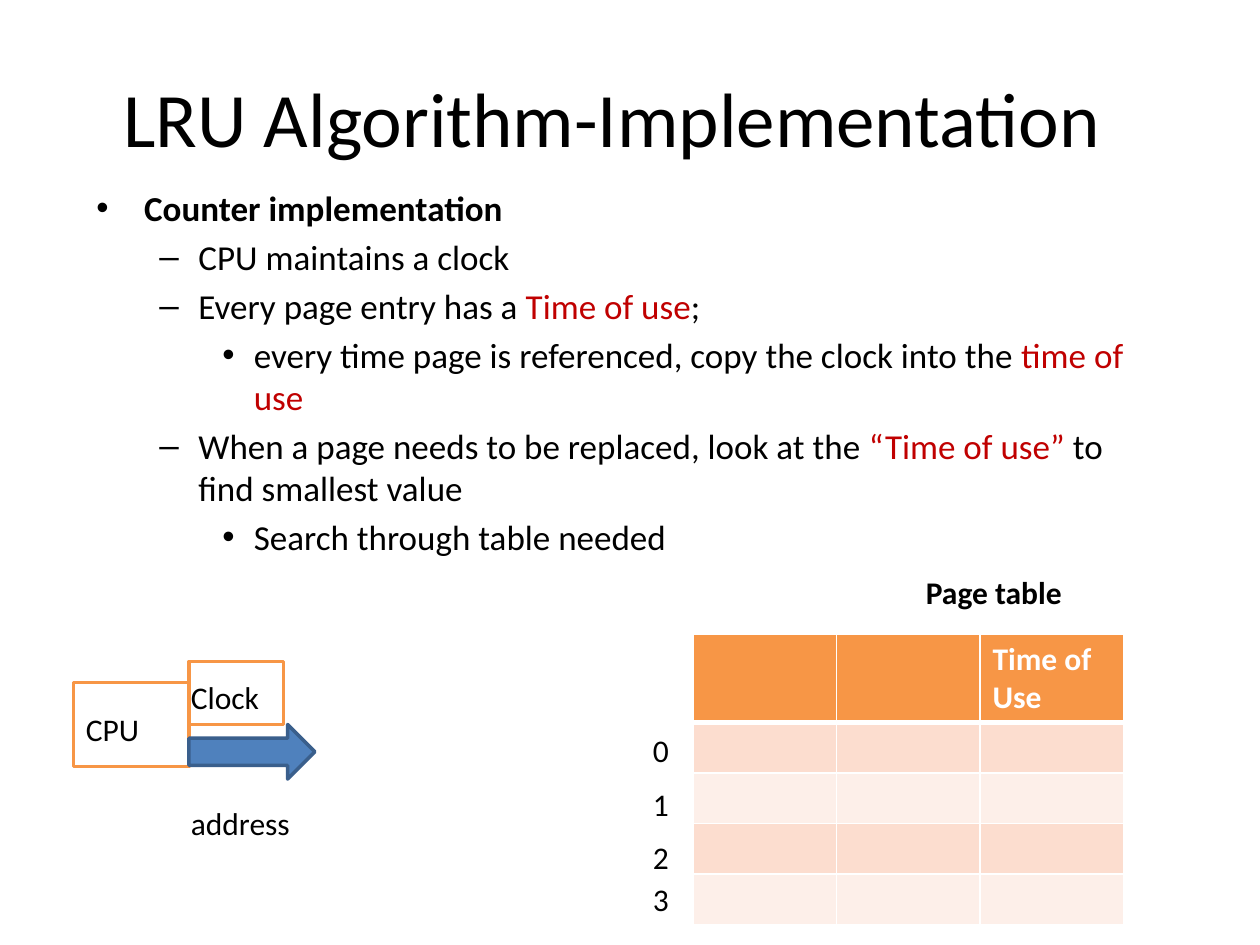
import pptx
import pptx.util
import pptx.dml.color
import pptx.enum.shapes
import pptx.enum.text
import pptx.oxml.ns
import lxml.etree

Pt = pptx.util.Pt
Inches = pptx.util.Inches
Form = pptx.enum.shapes.MSO_SHAPE
Align = pptx.enum.text.PP_ALIGN
Anchor = pptx.enum.text.MSO_ANCHOR

HUES = {
    "black": "000000", "white": "FFFFFF", "red": "C00000",
    "orange": "F79646", "blue": "4F81BD", "navy": "3A5F8C",
    "peach": "FCDDCF", "cream": "FDEFE9",
}
LEVELS = [("•", 0.38, 0.38), ("–", 0.81, 0.31), ("•", 1.25, 0.25)]
POINTS = [
    (0, [("Counter implementation", "black")]),
    (1, [("CPU maintains a clock", "black")]),
    (1, [("Every page entry has a ", "black"), ("Time of use", "red"), (";", "black")]),
    (2, [("every time page is referenced, copy the clock into the ", "black"),
         ("time of use", "red")]),
    (1, [("When a page needs to be replaced, look at the ", "black"),
         ("“Time of use”", "red"), (" to find smallest value", "black")]),
    (2, [("Search through table needed", "black")]),
]


def hue(name):
    return pptx.dml.color.RGBColor.from_string(HUES[name])


def add_tag(parent, tag, **attrs):
    return lxml.etree.SubElement(parent, pptx.oxml.ns.qn(tag), attrs)


class Board:
    face = "Calibri"
    cols, rows = 120, 90

    def __init__(self, deck):
        self.deck = deck
        self.slide = deck.slides.add_slide(deck.slide_layouts[6])

    def place(self, left, top, width, height):
        across = self.deck.slide_width / self.cols
        down = self.deck.slide_height / self.rows
        return [round(n) for n in (left * across, top * down, width * across, height * down)]

    def style(self, para, size=18, bold=False, color="black"):
        font = para.font
        font.name, font.size, font.bold = self.face, Pt(size), bold
        font.color.rgb = hue(color)

    def frame(self, *spot):
        frame = self.slide.shapes.add_textbox(*self.place(*spot)).text_frame
        frame.word_wrap = True
        return frame

    def label(self, text, *spot, size=18, bold=False):
        frame = self.frame(*spot)
        para = frame.paragraphs[0]
        para.text = text
        self.style(para, size, bold)
        return frame

    def title(self, text, *spot):
        frame = self.label(text, *spot, size=44)
        frame.vertical_anchor = Anchor.MIDDLE
        frame.margin_right = Inches(0.38)
        frame.paragraphs[0].alignment = Align.CENTER

    def bullets(self, points, *spot):
        frame = self.frame(*spot)
        for i, (level, runs) in enumerate(points):
            para = frame.add_paragraph() if i else frame.paragraphs[0]
            mark, left, hang = LEVELS[level]
            para.level = level
            para.space_before = Pt(4)
            props = para._p.get_or_add_pPr()
            props.set("marL", str(Inches(left)))
            props.set("indent", str(-Inches(hang)))
            add_tag(props, "a:buFont", typeface="Arial")
            add_tag(props, "a:buChar", char=mark)
            self.style(para, 20, level == 0)
            for text, color in runs:
                run = para.add_run()
                run.text = text
                run.font.color.rgb = hue(color)

    def shape(self, form, fill, line, *spot):
        shape = self.slide.shapes.add_shape(form, *self.place(*spot))
        shape.shadow.inherit = False
        shape.fill.solid()
        shape.fill.fore_color.rgb = hue(fill)
        shape.line.color.rgb = hue(line)
        shape.line.width = Pt(2)

    def border(self, cell, side, width):
        line = add_tag(cell._tc.get_or_add_tcPr(), "a:" + side, w=str(Pt(width)))
        add_tag(add_tag(line, "a:solidFill"), "a:srgbClr", val=HUES["white"])

    def table(self, heads, fills, heights, *spot):
        grid = self.slide.shapes.add_table(len(fills), len(heads), *self.place(*spot)).table
        for r, (fill, height) in enumerate(zip(fills, heights)):
            grid.rows[r].height = Inches(height)
            for c, head in enumerate(heads):
                cell = grid.cell(r, c)
                for side in ("lnL", "lnR", "lnT", "lnB"):
                    thick = (r, side) in ((0, "lnB"), (1, "lnT"))
                    self.border(cell, side, 3 if thick else 1)
                cell.fill.solid()
                cell.fill.fore_color.rgb = hue(fill)
                para = cell.text_frame.paragraphs[0]
                if r == 0 and head:
                    para.text = head
                self.style(para, 18, r == 0, "white" if r == 0 else "black")


def main():
    deck = pptx.Presentation()
    deck.slide_width, deck.slide_height = Inches(10), Inches(7.5)
    board = Board(deck)
    board.title("LRU Algorithm-Implementation", 6, 3.6, 108, 15)
    board.bullets(POINTS, 8, 17.2, 103, 70.8)
    board.shape(Form.RECTANGLE, "white", "orange", 7, 65, 11, 8)
    board.label("CPU", 7, 67, 11, 4.8)
    board.shape(Form.RECTANGLE, "white", "orange", 18, 63, 9, 6)
    board.label("Clock", 17, 64, 19, 4.8)
    board.shape(Form.RIGHT_ARROW, "blue", "navy", 18, 69, 12, 5.2)
    board.label("address", 17, 76, 19, 4.8)
    board.table(["", "", "Time of Use"], ["orange"] + ["peach", "cream"] * 2,
                [0.7] + [0.4] * 4, 66, 60.4, 41, 27.6)
    board.label("Page table", 87, 54, 17, 5, bold=True)
    for i, top in enumerate((69, 74.2, 79.2, 83.2)):
        board.label(str(i), 61, top, 4, 4.8)
    deck.save("out.pptx")


if __name__ == "__main__":
    main()
